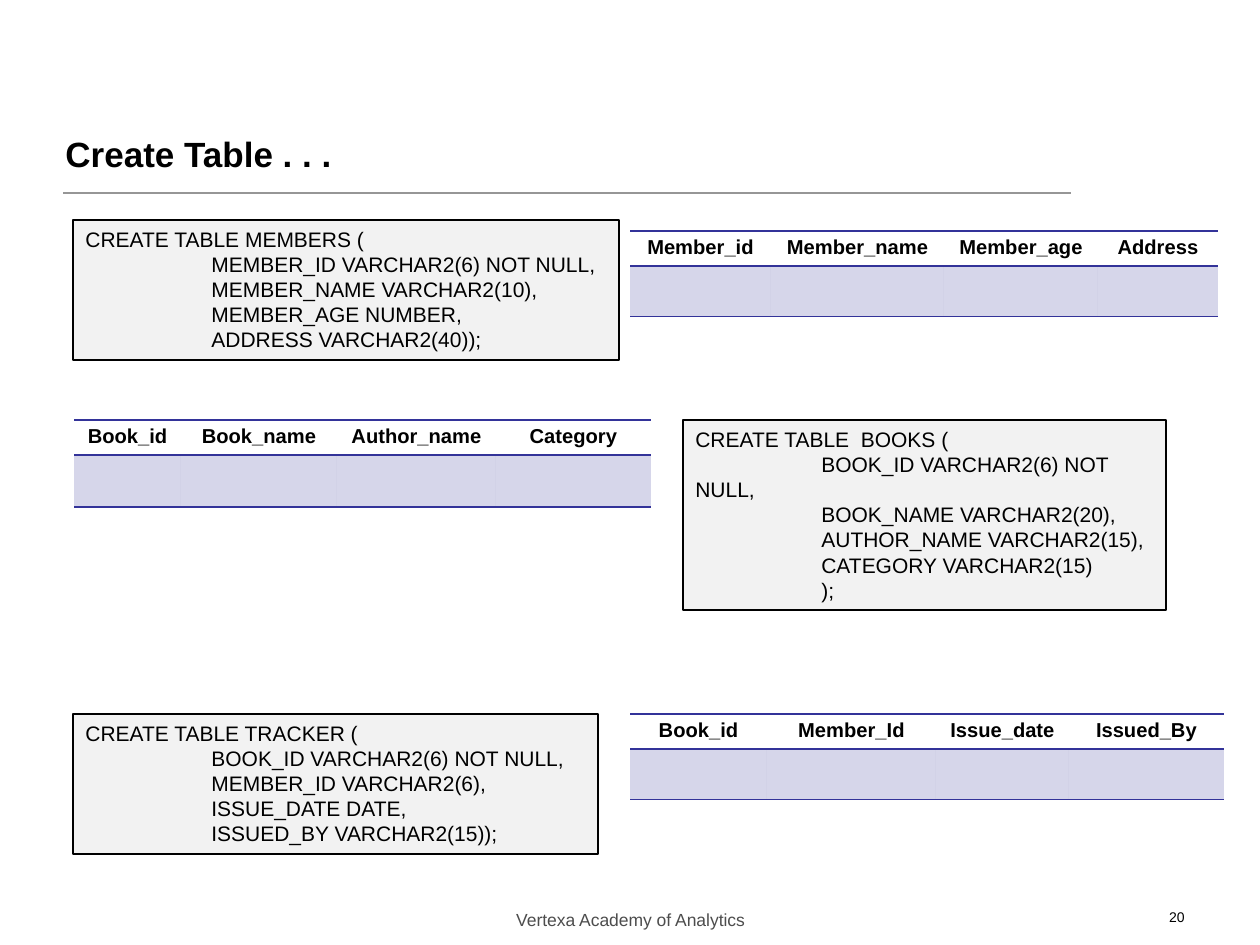
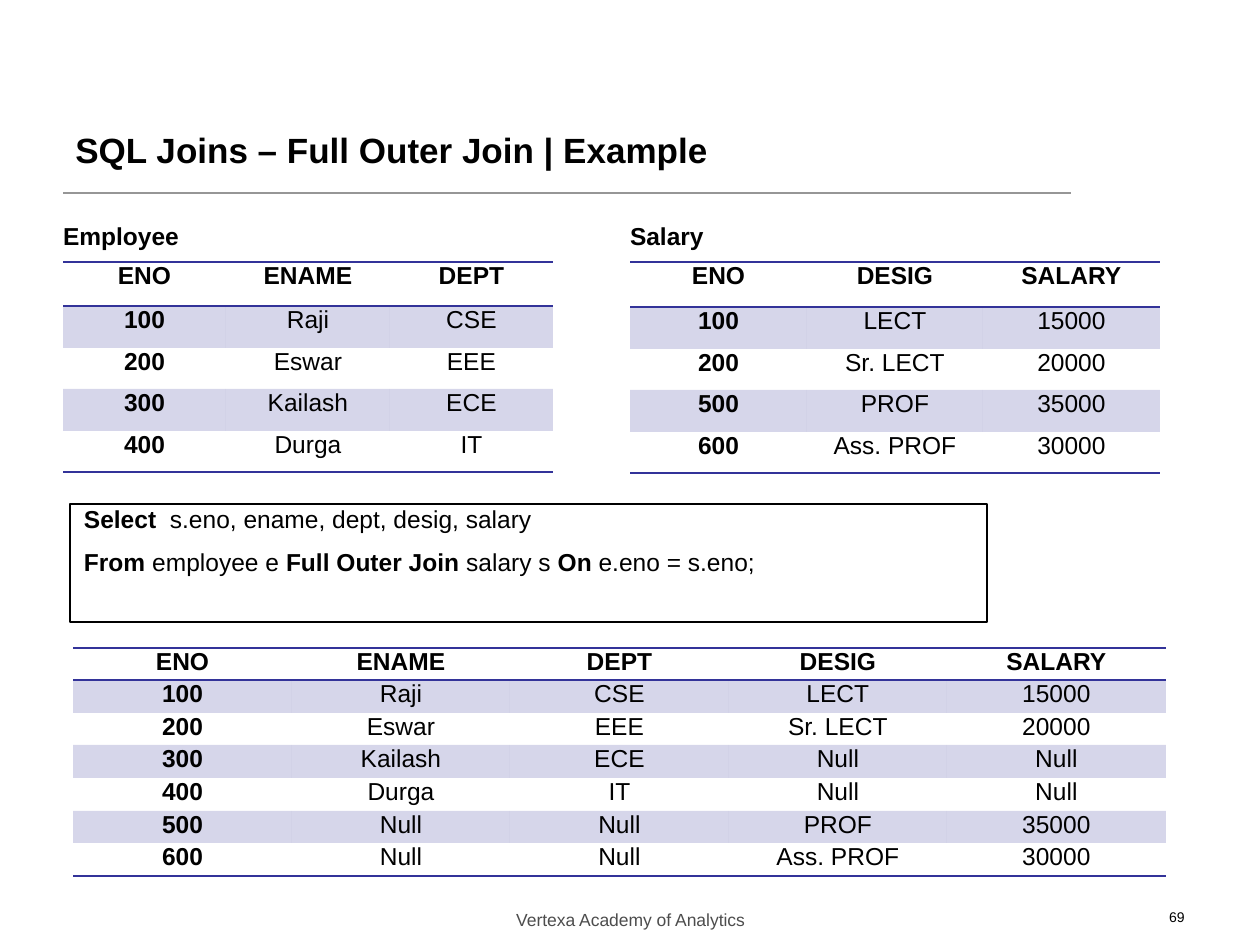
from lxml.etree import SubElement
from pptx import Presentation
from pptx.dml.color import RGBColor
from pptx.enum.shapes import MSO_CONNECTOR as Connector, MSO_SHAPE as Shape
from pptx.enum.text import MSO_ANCHOR as Anchor, PP_ALIGN as Align
from pptx.oxml import parse_xml
from pptx.oxml.ns import nsdecls, qn
from pptx.util import Pt

PX = 914400 / 126
BLACK = RGBColor(0x00, 0x00, 0x00)
DARK_GRAY = RGBColor(0x4D, 0x4D, 0x4D)
RULE_GRAY = RGBColor(0x96, 0x96, 0x96)
CODE_GRAY = RGBColor(0xF2, 0xF2, 0xF2)
INDIGO = RGBColor(0x33, 0x33, 0x99)
FONT = "Arial"
FOOTER = "Vertexa Academy of Analytics"
NO_TABLE_STYLE = "{2D5ABB26-0587-4C30-8999-92F81FD0307C}"


def write(frame, lines, size, color=BLACK, align=Align.LEFT, gap=0, spacing=1.0):
    """Fill the frame with one paragraph per line; a line is a list of (text, bold)."""
    frame.word_wrap = True
    for number, line in enumerate(lines):
        para = frame.add_paragraph() if number else frame.paragraphs[0]
        para.alignment = align
        para.line_spacing = spacing
        if number:
            para.space_before = Pt(gap)
        for text, bold in line:
            span = para.add_run()
            span.text = text
            span.font.name = FONT
            span.font.size = Pt(size)
            span.font.bold = bold
            span.font.color.rgb = color


def draw_table(page, left, top, widths, heights, rows, size, spacing=1.0, inset=None):
    """Add a table ruled above, below and under its header, with every other row tinted."""
    frame = page.shapes.add_table(len(rows), len(widths), round(left * PX), round(top * PX),
                                  round(sum(widths) * PX), round(sum(heights) * PX))
    table = frame.table
    table.first_row = True
    table.horz_banding = False
    table._tbl.tblPr.find(qn("a:tableStyleId")).text = NO_TABLE_STYLE
    for column, width in zip(table.columns, widths):
        column.width = round(width * PX)
    for row, height in zip(table.rows, heights):
        row.height = round(height * PX)
    for r, row in enumerate(rows):
        for c, text in enumerate(row):
            cell = table.cell(r, c)
            if inset is not None:
                cell.margin_left = cell.margin_right = inset
                cell.margin_top = cell.margin_bottom = inset
            if text:
                write(cell.text_frame, [[(text, r == 0 or c == 0)]], size,
                      align=Align.CENTER, spacing=spacing)
            props = cell._tc.get_or_add_tcPr()
            if r % 2:
                cell.fill.solid()
                cell.fill.fore_color.rgb = INDIGO
                SubElement(next(props.iter(qn("a:srgbClr"))), qn("a:alpha"), val="20000")
            else:
                cell.fill.background()
            sides = ["lnT"] if r == 0 else []
            if r in (0, len(rows) - 1):
                sides.append("lnB")
            for place, side in enumerate(sides):
                props.insert(place, parse_xml(
                    f'<a:{side} {nsdecls("a")} w="12700"><a:solidFill>'
                    f'<a:srgbClr val="{INDIGO}"/></a:solidFill></a:{side}>'))


deck = Presentation()
deck.slide_width = round(1260 * PX)
deck.slide_height = round(945 * PX)

# Title, rule and footer on every slide
pages = []
for title, title_box, page_number in [
    ("Create Table . . .", (53, 114, 976, 79), "20"),
    ("SQL Joins – Full Outer Join | Example", (63, 107, 945, 84), "69"),
]:
    page = deck.slides.add_slide(deck.slide_layouts[6])
    pages.append(page)
    rule = page.shapes.add_connector(Connector.STRAIGHT, *[round(v * PX) for v in (63, 193, 1071, 193)])
    rule.line.color.rgb = RULE_GRAY
    rule.line.width = Pt(0.75)
    SubElement(rule._element.spPr, qn("a:effectLst"))
    for text, area, size, bold, color, align, anchor in [
        (title, title_box, 20, True, BLACK, Align.LEFT, Anchor.MIDDLE),
        (FOOTER, (431, 903, 399, 31), 10, False, DARK_GRAY, Align.CENTER, Anchor.TOP),
        (page_number, (903, 902, 294, 31), 8, False, BLACK, Align.RIGHT, Anchor.TOP),
    ]:
        box = page.shapes.add_textbox(*[round(v * PX) for v in area])
        box.text_frame.vertical_anchor = anchor
        write(box.text_frame, [[(text, bold)]], size, color, align)

create_page, join_page = pages

# Create Table: each statement beside the empty table it makes
for area, statement in [
    ((73, 220, 546, 140), ["CREATE TABLE MEMBERS (", "MEMBER_ID VARCHAR2(6) NOT NULL,",
                           "MEMBER_NAME VARCHAR2(10),", "MEMBER_AGE NUMBER,",
                           "ADDRESS VARCHAR2(40));"]),
    ((683, 420, 483, 190), ["CREATE TABLE  BOOKS (", "BOOK_ID VARCHAR2(6) NOT NULL,",
                            "BOOK_NAME VARCHAR2(20),", "AUTHOR_NAME VARCHAR2(15),",
                            "CATEGORY VARCHAR2(15)", ");"]),
    ((73, 714, 525, 140), ["CREATE TABLE TRACKER (", "BOOK_ID VARCHAR2(6) NOT NULL,",
                           "MEMBER_ID VARCHAR2(6),", "ISSUE_DATE DATE,",
                           "ISSUED_BY VARCHAR2(15));"]),
]:
    code = create_page.shapes.add_shape(Shape.RECTANGLE, *[round(v * PX) for v in area])
    code.shadow.inherit = False
    code.fill.solid()
    code.fill.fore_color.rgb = CODE_GRAY
    code.line.color.rgb = BLACK
    code.line.width = Pt(0.75)
    code.text_frame.vertical_anchor = Anchor.TOP
    write(code.text_frame, [[(line, False)] for line in statement], 12)
    for para in code.text_frame.paragraphs[1:]:
        props = para._p.get_or_add_pPr()
        props.set("marL", "0")
        props.set("indent", str(round(126 * PX)))

for left, top, widths, body_height, header in [
    (630, 231, (141, 173, 154, 120), 50, ["Member_id", "Member_name", "Member_age", "Address"]),
    (74, 420, (107, 156, 159, 155), 52, ["Book_id", "Book_name", "Author_name", "Category"]),
    (630, 714, (137, 169, 133, 155), 50, ["Book_id", "Member_Id", "Issue_date", "Issued_By"]),
]:
    draw_table(create_page, left, top, widths, (35, body_height),
               [header, [""] * len(header)], 11.5, spacing=0.93)

# Full Outer Join: two source tables, the query and its result
employee = {"100": ["Raji", "CSE"], "200": ["Eswar", "EEE"],
            "300": ["Kailash", "ECE"], "400": ["Durga", "IT"]}
salary = {"100": ["LECT", "15000"], "200": ["Sr. LECT", "20000"],
          "500": ["PROF", "35000"], "600": ["Ass. PROF", "30000"]}
missing = ["Null", "Null"]
employee_header = ["ENAME", "DEPT"]
salary_header = ["DESIG", "SALARY"]

for caption, left, widths, header_height, header, records in [
    ("Employee", 63, (163, 164, 163), 44, employee_header, employee),
    ("Salary", 630, (177, 176, 177), 45, salary_header, salary),
]:
    box = join_page.shapes.add_textbox(*[round(v * PX) for v in (left, 221, 231, 30)])
    frame = box.text_frame
    frame.margin_left = frame.margin_right = frame.margin_top = frame.margin_bottom = 0
    write(frame, [[(caption, True)]], 14)
    rows = [["ENO"] + header] + [[eno] + record for eno, record in records.items()]
    draw_table(join_page, left, 262, widths, [header_height] + [42, 41] * 2, rows, 14, inset=0)

query = join_page.shapes.add_shape(Shape.RECTANGLE, *[round(v * PX) for v in (70, 504, 917, 118)])
query.shadow.inherit = False
query.fill.background()
query.line.color.rgb = BLACK
query.line.width = Pt(0.75)
frame = query.text_frame
frame.vertical_anchor = Anchor.TOP
frame.margin_left = round(14 * PX)
frame.margin_right = frame.margin_top = frame.margin_bottom = 0
write(frame, [
    [("Select", True), ("  s.eno, ename, dept, desig, salary", False)],
    [("From ", True), ("employee e ", False), ("Full Outer Join ", True),
     ("salary s ", False), ("On ", True), ("e.eno = s.eno;", False)],
], 14, gap=7.5)

joined = [["ENO"] + employee_header + salary_header]
for eno in sorted(employee.keys() | salary.keys()):
    joined.append([eno] + employee.get(eno, missing) + salary.get(eno, missing))
draw_table(join_page, 73, 648, [219, 218, 219, 218, 219], [32] + [33, 32, 33] * 2,
           joined, 14, inset=0)

deck.save("out.pptx")
